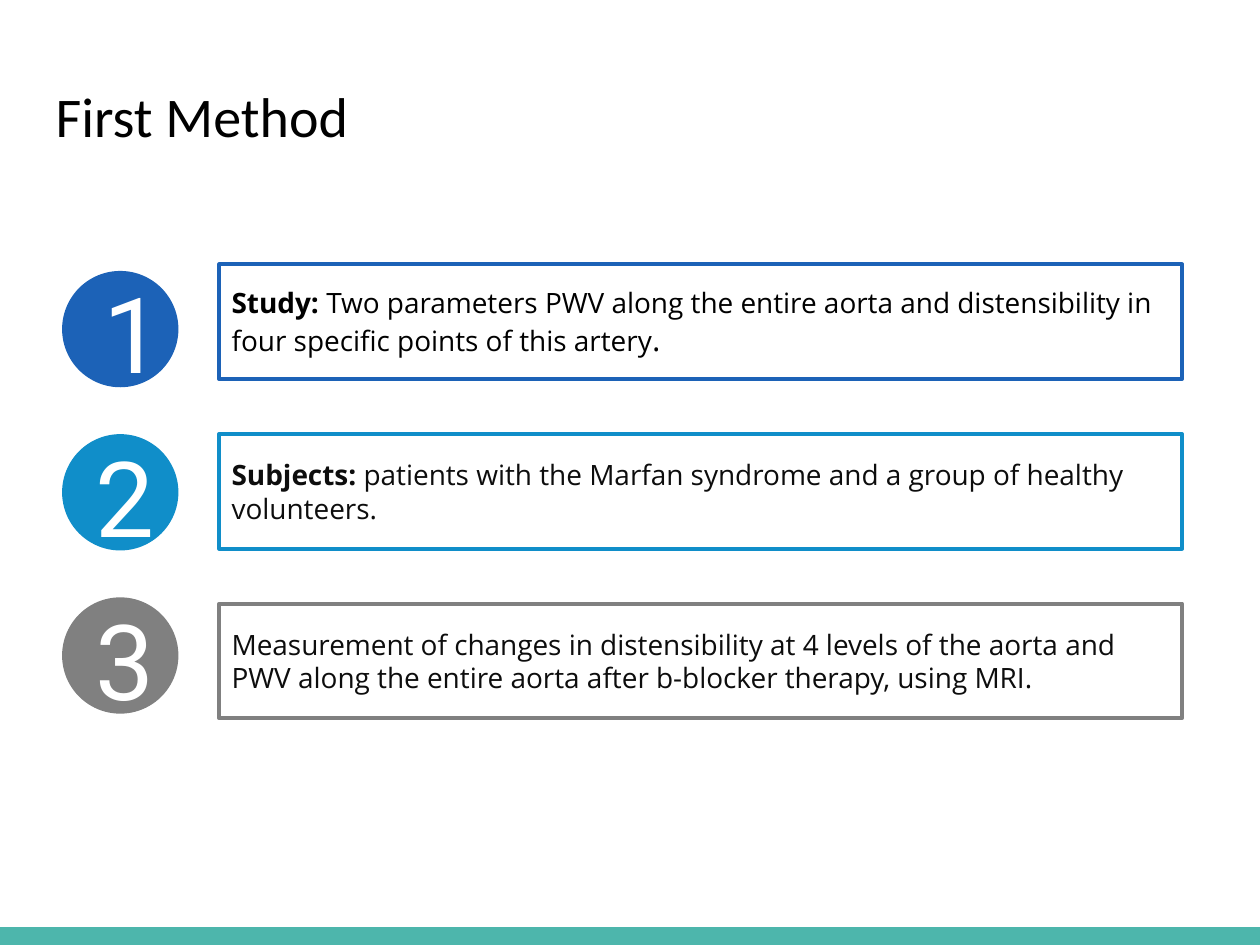
from pptx import Presentation
from pptx.dml.color import RGBColor
from pptx.enum.shapes import MSO_SHAPE
from pptx.enum.text import MSO_ANCHOR, MSO_AUTO_SIZE, PP_ALIGN
from pptx.util import Cm, Pt

TEAL = RGBColor(0x4D, 0xB6, 0xAC)
DARK_BLUE = RGBColor(0x1C, 0x62, 0xB7)
BLUE = RGBColor(0x10, 0x8E, 0xC9)
GREY = RGBColor(0x80, 0x80, 0x80)
BLACK = RGBColor(0, 0, 0)
NEAR_BLACK = RGBColor(0x0D, 0x0D, 0x0D)
WHITE = RGBColor(0xFF, 0xFF, 0xFF)

# Accent, text colour, left edge of the digit within its badge, runs of (text, bold, size)
STEPS = [
    (DARK_BLUE, BLACK, 0.56, [
        ("Study: ", True, 16),
        ("Two parameters PWV along the entire aorta and distensibility in "
         "four specific points of this artery", False, 16),
        (".", False, 18)]),
    (BLUE, NEAR_BLACK, 0.41, [
        ("Subjects: ", True, 16),
        ("patients with the Marfan syndrome and a group of healthy volunteers.",
         False, 16)]),
    (GREY, NEAR_BLACK, 0.41, [
        ("Measurement of changes in distensibility at 4 levels of the aorta and "
         "PWV along the entire aorta after b-blocker therapy, using MRI.",
         False, 16)]),
]


def format_font(font, name, size, color, bold=False):
    font.name = name
    font.size = Pt(size)
    font.color.rgb = color
    font.bold = bold


def add_footer_band(slide, left, top, width, height):
    band = slide.shapes.add_shape(MSO_SHAPE.RECTANGLE, left, top, width, height)
    band.shadow.inherit = False
    band.fill.solid()
    band.fill.fore_color.rgb = TEAL
    band.line.fill.background()


def place_title(slide, text, left, top, width, height):
    title = slide.shapes.title
    title.left, title.top, title.width, title.height = left, top, width, height
    frame = title.text_frame
    frame.text = text
    frame.auto_size = MSO_AUTO_SIZE.NONE
    frame.vertical_anchor = MSO_ANCHOR.TOP
    frame.margin_left = frame.margin_right = Cm(0.25)
    frame.margin_top = frame.margin_bottom = Cm(0.25)
    paragraph = frame.paragraphs[0]
    paragraph.alignment = PP_ALIGN.LEFT
    paragraph.line_spacing = 0.8
    format_font(paragraph.runs[0].font, "Calibri", 32, BLACK)


def add_card(slide, left, top, width, height, accent, text_color, pieces):
    card = slide.shapes.add_shape(MSO_SHAPE.RECTANGLE, left, top, width, height)
    card.shadow.inherit = False
    card.fill.background()
    card.line.color.rgb = accent
    card.line.width = Pt(2.25)
    frame = card.text_frame
    frame.word_wrap = True
    frame.vertical_anchor = MSO_ANCHOR.MIDDLE
    paragraph = frame.paragraphs[0]
    paragraph.alignment = PP_ALIGN.LEFT
    for text, bold, size in pieces:
        run = paragraph.add_run()
        run.text = text
        format_font(run.font, "Open Sans", size, text_color, bold)


def add_badge(slide, left, top, diameter, number, accent, digit_offset):
    """Draw a filled circle with a large digit over it."""
    circle = slide.shapes.add_shape(MSO_SHAPE.OVAL, left, top, diameter, diameter)
    circle.shadow.inherit = False
    circle.fill.solid()
    circle.fill.fore_color.rgb = accent
    circle.line.color.rgb = accent
    circle.line.width = Pt(1)

    digit = slide.shapes.add_textbox(left + digit_offset, top - Cm(0.36), Cm(2), Cm(3))
    frame = digit.text_frame
    frame.word_wrap = True
    frame.text = str(number)
    paragraph = frame.paragraphs[0]
    paragraph.alignment = PP_ALIGN.JUSTIFY
    paragraph.line_spacing = 1.07
    paragraph.space_after = Pt(8)
    format_font(paragraph.runs[0].font, "Roboto", 60, WHITE)


def add_steps(slide, left, top, width):
    """Stack the numbered steps; badges sit slightly closer together than cards."""
    size = Cm(2.31)
    card_left = Cm(3.15)
    for index, (accent, text_color, digit_offset, pieces) in enumerate(STEPS):
        add_card(slide, left + card_left, top + index * Cm(3.42),
                 width - card_left, size, accent, text_color, pieces)
        add_badge(slide, left, top + Cm(0.15) + index * Cm(3.29), size,
                  index + 1, accent, Cm(digit_offset))


def main():
    presentation = Presentation()
    presentation.slide_width = Cm(25.4)
    presentation.slide_height = Cm(19.05)
    slide = presentation.slides.add_slide(presentation.slide_layouts[5])
    add_footer_band(slide, 0, Cm(18.69), presentation.slide_width, Cm(0.36))
    place_title(slide, "First Method", Cm(0.87), Cm(1.65), Cm(23.67), Cm(2.62))
    add_steps(slide, Cm(1.27), Cm(5.33), Cm(22.56))
    presentation.save("out.pptx")


if __name__ == "__main__":
    main()
